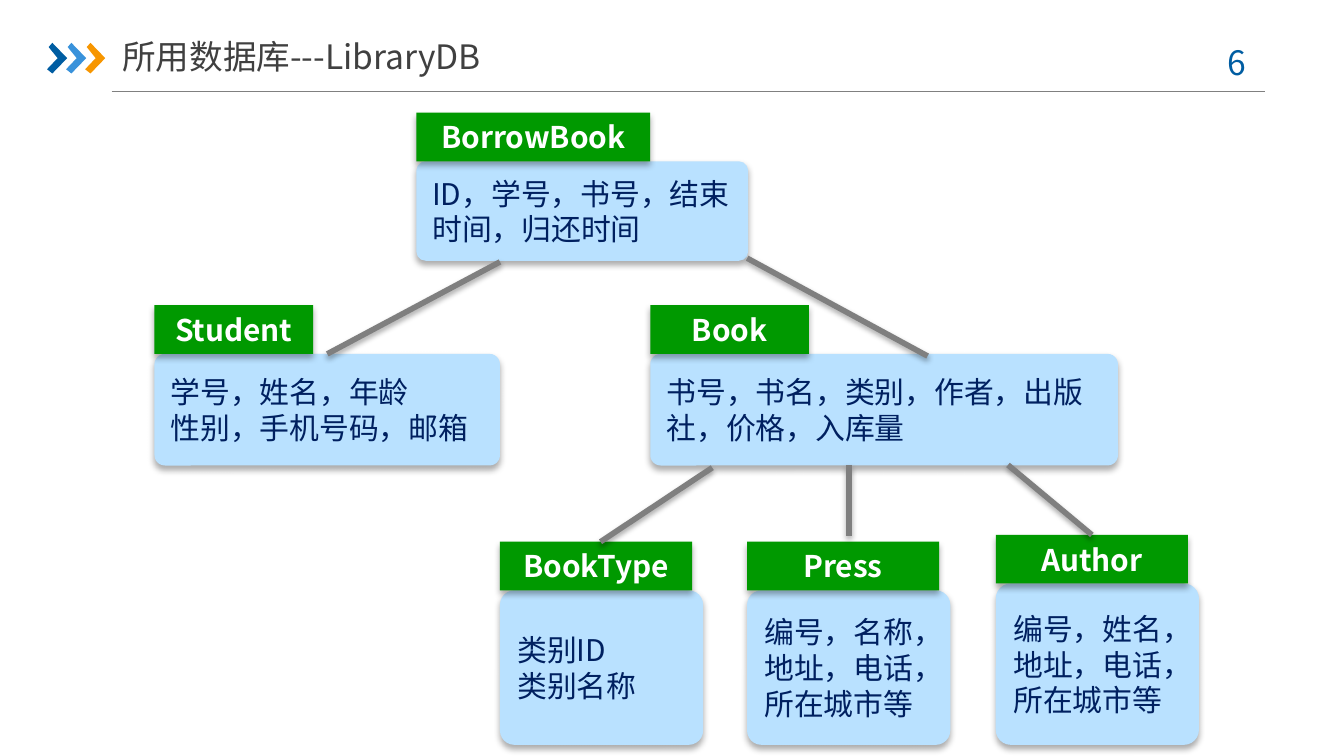
from lxml.etree import SubElement
from pptx import Presentation
from pptx.dml.color import RGBColor
from pptx.enum.shapes import MSO_CONNECTOR, MSO_SHAPE
from pptx.enum.text import MSO_ANCHOR, PP_ALIGN
from pptx.oxml.ns import qn
from pptx.util import Cm, Pt

TITLE = "所用数据库---LibraryDB"
PAGE_NUMBER = "6"
FONT = "Noto Sans CJK SC"
COLORS = {
    "navy": "005DA2", "blue": "3992DB", "orange": "F79600",
    "rule": "808080", "link": "7F7F7F", "title": "404040",
    "header": "009900", "header_top": "FFFFFF", "header_bottom": "F2F2F2",
    "body": "B9E1FF", "fields": "002060", "shadow": "000000",
}

# Lengths in cm: left, top, header width, body width, body height
HEADER_HEIGHT = 0.92
ENTITIES = {
    "Student": (["学号，姓名，年龄", "性别，手机号码，邮箱"],
                (2.92, 5.77, 3.0, 6.53, 2.11)),
    "Book": (["书号，书名，类别，作者，出版社，价格，入库量"],
             (12.29, 5.77, 3.0, 8.84, 2.11)),
    "BookType": (["类别ID", "类别名称"], (9.45, 10.24, 3.63, 3.84, 2.92)),
    "Press": (["编号，名称，地址，电话，所在城市等"],
              (14.12, 10.24, 3.63, 3.84, 2.92)),
    "Author": (["编号，姓名，地址，电话，所在城市等"],
               (18.82, 10.11, 3.63, 3.84, 3.05)),
    "BorrowBook": (["ID，学号，书号，结束时间，归还时间"],
                   (7.87, 2.13, 4.42, 6.27, 1.88)),
}
# Parent end, child end, and the child part whose top middle is joined
RELATIONS = [
    ((9.45, 4.95), (6.18, 6.69), ("Student", "body")),
    ((14.12, 4.88), (17.53, 6.73), None),
    ((19.05, 8.79), (20.65, 10.11), ("Author", "header")),
    ((13.46, 8.84), (11.35, 10.24), None),
    ((16.05, 8.79), (16.05, 10.13), None),
]
CHEVRONS = ["navy", "blue", "orange"]
CHEVRON_OUTLINE = [(0.03, 0.08), (0.1, 0), (0.38, 0.29),
                   (0.1, 0.58), (0, 0.5), (0.2, 0.29)]
CHEVRON_LEFT, CHEVRON_TOP, CHEVRON_STEP = 0.89, 0.81, 0.36

SHADOWS = {"box": {"alpha": 32, "blur": 3.5, "dist": 2.2},
           "link": {"alpha": 35, "blur": 3.1, "dist": 1.8}}


def rgb(name):
    return RGBColor.from_string(COLORS[name])


def set_shadow(shape, kind=None):
    """Replace the theme effect by a downward shadow, or by none."""
    properties = shape._element.spPr
    effects = SubElement(properties, qn("a:effectLst"))
    if kind:
        shadow = SHADOWS[kind]
        outer = SubElement(effects, qn("a:outerShdw"), {
            "blurRad": str(Pt(shadow["blur"])), "dist": str(Pt(shadow["dist"])),
            "dir": "5400000", "algn": "t", "rotWithShape": "0"})
        color = SubElement(outer, qn("a:srgbClr"), val=COLORS["shadow"])
        SubElement(color, qn("a:alpha"), val=str(shadow["alpha"] * 1000))


def write(shape, paragraphs, color, size=16, bold=False, align=PP_ALIGN.LEFT, **frame_format):
    frame = shape.text_frame
    for name, value in {"word_wrap": True, **frame_format}.items():
        setattr(frame, name, value)
    for number, text in enumerate(paragraphs):
        paragraph = frame.add_paragraph() if number else frame.paragraphs[0]
        paragraph.alignment = align
        run = paragraph.add_run()
        run.text = text
        for name, value in {"name": FONT, "size": Pt(size), "bold": bold}.items():
            setattr(run.font, name, value)
        if isinstance(color, tuple):
            run.font.fill.gradient()
            run.font.fill.gradient_angle = 270
            for stop, stop_color in zip(run.font.fill.gradient_stops, color):
                stop.color.rgb = rgb(stop_color)
        else:
            run.font.color.rgb = rgb(color)
        SubElement(run.font._element, qn("a:ea"), typeface=FONT)


def add_box(shapes, preset, place, fill):
    box = shapes.add_shape(preset, *map(Cm, place))
    box.fill.solid()
    box.fill.fore_color.rgb = rgb(fill)
    box.line.fill.background()
    set_shadow(box, "box")
    return box


def add_entity(shapes, name, fields, layout):
    left, top, header_width, body_width, body_height = layout
    body = add_box(shapes, MSO_SHAPE.ROUNDED_RECTANGLE,
                   (left, top + HEADER_HEIGHT, body_width, body_height), "body")
    body.adjustments[0] = 0.093
    write(body, fields, "fields", vertical_anchor=MSO_ANCHOR.MIDDLE)
    header = add_box(shapes, MSO_SHAPE.RECTANGLE,
                     (left, top, header_width, HEADER_HEIGHT), "header")
    write(header, [name], ("header_top", "header_bottom"), bold=True,
          align=PP_ALIGN.CENTER, vertical_anchor=MSO_ANCHOR.MIDDLE)
    return {"body": body, "header": header}


def add_line(shapes, start, end, color, width, joined=None, shadow=None):
    line = shapes.add_connector(MSO_CONNECTOR.STRAIGHT, *map(Cm, start + end))
    line.line.color.rgb = rgb(color)
    line.line.width = Pt(width)
    set_shadow(line, shadow)
    if joined:
        line.end_connect(joined, 0)


def add_chevron(shapes, left, color):
    points = [(Cm(left + x), Cm(CHEVRON_TOP + y)) for x, y in CHEVRON_OUTLINE]
    builder = shapes.build_freeform(*points[0])
    builder.add_line_segments(points[1:], close=True)
    chevron = builder.convert_to_shape()
    chevron.fill.solid()
    chevron.fill.fore_color.rgb = rgb(color)
    chevron.line.fill.background()
    set_shadow(chevron)


def main():
    presentation = Presentation()
    presentation.slide_width, presentation.slide_height = Cm(25.4), Cm(14.29)
    slide = presentation.slides.add_slide(presentation.slide_layouts[5])
    shapes = slide.shapes

    add_line(shapes, (2.11, 1.73), (23.9, 1.73), "rule", 0.75)
    for number, color in enumerate(CHEVRONS):
        add_chevron(shapes, CHEVRON_LEFT + number * CHEVRON_STEP, color)

    title = shapes.title
    title_place = {"left": 2.31, "top": 0.53, "width": 8.41, "height": 1.07}
    for name, value in title_place.items():
        setattr(title, name, Cm(value))
    write(title, [TITLE], "title", size=18, margin_left=0, margin_right=0,
          vertical_anchor=MSO_ANCHOR.MIDDLE)
    page = shapes.add_textbox(Cm(22.5), Cm(0.66), Cm(1.75), Cm(1.02))
    write(page, [PAGE_NUMBER], "navy", size=18, align=PP_ALIGN.CENTER)

    entities = {name: add_entity(shapes, name, fields, layout)
                for name, (fields, layout) in ENTITIES.items()}
    for parent_end, child_end, join in RELATIONS:
        joined = entities[join[0]][join[1]] if join else None
        add_line(shapes, parent_end, child_end, "link", 3, joined, "link")

    presentation.save("out.pptx")


if __name__ == "__main__":
    main()
